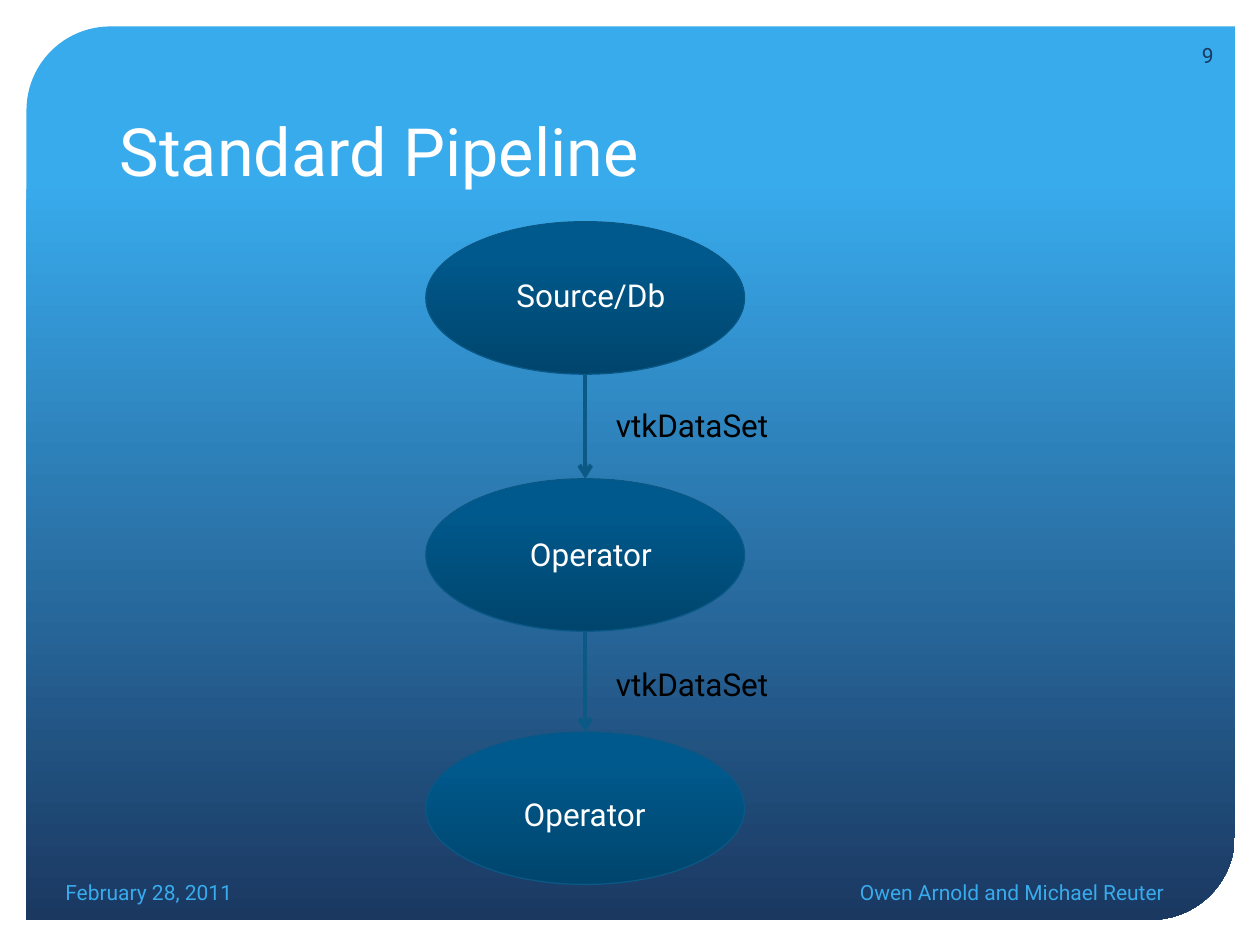
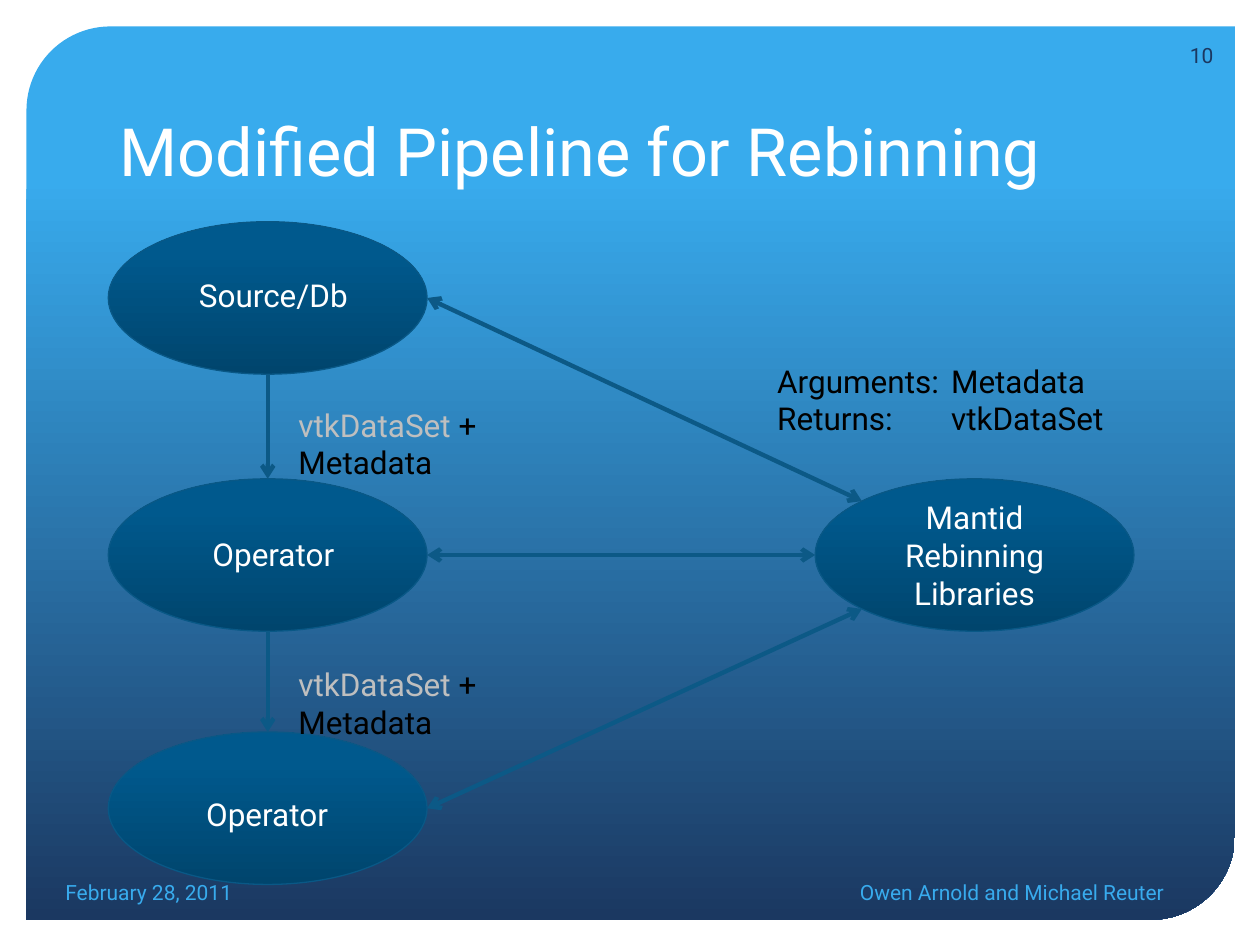
from dataclasses import dataclass
from math import cos, radians, sin

from lxml import etree
from pptx import Presentation
from pptx.dml.color import RGBColor
from pptx.enum.shapes import MSO_CONNECTOR, MSO_SHAPE
from pptx.enum.text import MSO_ANCHOR, MSO_AUTO_SIZE, PP_ALIGN
from pptx.oxml.ns import qn
from pptx.util import Inches, Pt

ELLIPSE = MSO_SHAPE.OVAL
PANEL = MSO_SHAPE.ROUND_2_DIAG_RECTANGLE
STRAIGHT = MSO_CONNECTOR.STRAIGHT
LEFT, CENTER, RIGHT = PP_ALIGN.LEFT, PP_ALIGN.CENTER, PP_ALIGN.RIGHT
TOP, MIDDLE, BOTTOM = MSO_ANCHOR.TOP, MSO_ANCHOR.MIDDLE, MSO_ANCHOR.BOTTOM

FONT = "Roboto"
COLORS = {
    "white": "FFFFFF", "black": "000000", "muted": "BFBFBF",
    "sky": "38ABED", "navy": "1B3861",
    "node_dark": "00456D", "node_mid": "00598D", "node_light": "005A8E",
    "node_line": "095886", "arrow": "0C5986",
}
PANEL_STOPS = [(17, "sky"), (100, "navy")]
NODE_STOPS = [(0, "node_dark"), (80, "node_mid"), (100, "node_light")]
NODE_W, NODE_H = 2.53, 1.21

# Connection sites of an ellipse, counted anticlockwise from the top in 45° steps
SITE_TOP, SITE_TOP_LEFT, SITE_LEFT, SITE_BOTTOM_LEFT, SITE_BOTTOM = range(5)
SITE_RIGHT = 6


@dataclass(frozen=True)
class Stage:
    """A pipeline step; the caption position is relative to the ellipse."""
    caption: str
    top: float
    caption_dx: float
    caption_dy: float


@dataclass(frozen=True)
class Footer:
    text: str
    box: tuple
    align: PP_ALIGN
    color: str = "sky"


STAGES = [
    Stage("Source/Db", 1.76, 0.6, 0.38),
    Stage("Operator", 3.8, 0.6, 0.4),
    Stage("Operator", 5.81, 0.55, 0.45),
]
FLOW_LABEL_TOPS = (3.17, 5.23)


def rgb(name: str) -> RGBColor:
    return RGBColor.from_string(COLORS[name])


def write(frame, *lines, size=18, color="white", align=LEFT, anchor=TOP, tab=None):
    """Fill a text frame; a line is a string or a list of (text, colour) runs."""
    frame.word_wrap = True
    frame.auto_size = MSO_AUTO_SIZE.NONE
    frame.vertical_anchor = anchor
    for index, line in enumerate(lines):
        paragraph = frame.add_paragraph() if index else frame.paragraphs[0]
        paragraph.alignment = align
        if tab:
            tabs = etree.SubElement(paragraph._p.get_or_add_pPr(), qn("a:tabLst"))
            etree.SubElement(tabs, qn("a:tab"), pos=str(Inches(tab)), algn="l")
        runs = [(line, color)] if isinstance(line, str) else line
        for text, run_color in runs:
            run = paragraph.add_run()
            run.text = text
            run.font.name = FONT
            run.font.size = Pt(size)
            run.font.color.rgb = rgb(run_color)


def add_text(slide, box: tuple, *lines, **text_format):
    frame = slide.shapes.add_textbox(*map(Inches, box)).text_frame
    write(frame, *lines, **text_format)


def fill_gradient(shape, stops: list, angle: int):
    shape.shadow.inherit = False
    shape.fill.gradient()
    shape.fill.gradient_angle = 360 - angle
    stop_list = shape.element.spPr.find(".//" + qn("a:gsLst"))
    for stop in list(stop_list):
        stop_list.remove(stop)
    for position, color in stops:
        stop = etree.SubElement(stop_list, qn("a:gs"), pos=str(position * 1000))
        etree.SubElement(stop, qn("a:srgbClr"), val=COLORS[color])


def add_node(slide, left: float, top: float):
    node = slide.shapes.add_shape(ELLIPSE, *map(Inches, (left, top, NODE_W, NODE_H)))
    fill_gradient(node, NODE_STOPS, 270)
    node.line.color.rgb = rgb("node_line")
    node.line.width = Pt(0.75)
    return node


def site_point(node, site: int) -> tuple:
    angle = radians(90 + 45 * site)
    return (round(node.left + node.width / 2 * (1 + cos(angle))),
            round(node.top + node.height / 2 * (1 - sin(angle))))


def join(slide, start, start_site: int, end, end_site: int, both_ways: bool = False):
    """Draw an arrow glued to the connection sites of two ellipses."""
    arrow = slide.shapes.add_connector(
        STRAIGHT, *site_point(start, start_site), *site_point(end, end_site))
    arrow.line.color.rgb = rgb("arrow")
    arrow.line.width = Pt(2.5)
    outline = arrow.line._get_or_add_ln()
    for tip in ("a:headEnd", "a:tailEnd") if both_ways else ("a:tailEnd",):
        etree.SubElement(outline, qn(tip), type="arrow")
    etree.SubElement(arrow.element.spPr, qn("a:effectLst"))
    glue = arrow.element.find(".//" + qn("p:cNvCxnSpPr"))
    for tag, node, site in (("a:stCxn", start, start_site), ("a:endCxn", end, end_site)):
        etree.SubElement(glue, qn(tag), id=str(node.shape_id), idx=str(site))


def add_panel(slide, layout):
    """Draw the backdrop and hand it to the layout that all slides share."""
    panel = slide.shapes.add_shape(PANEL, *map(Inches, (0.21, 0.21, 9.59, 7.09)))
    panel.adjustments[0], panel.adjustments[1] = 0.094, 0
    fill_gradient(panel, PANEL_STOPS, 90)
    panel.line.fill.background()
    layout.shapes.element.insert(2, panel.element)


def start_slide(prs, layout, title: str, number: int):
    slide = prs.slides.add_slide(layout)
    heading = slide.shapes.title
    heading.left, heading.top, heading.width, heading.height = map(
        Inches, (0.85, 0.42, 8.29, 1.14))
    write(heading.text_frame, title, size=38, anchor=BOTTOM)
    footers = [
        Footer("February 28, 2011", (0.42, 6.88, 2.06, 0.4), LEFT),
        Footer("Owen Arnold and Michael Reuter", (3.61, 6.88, 5.73, 0.4), RIGHT),
        Footer(str(number), (9.19, 0.24, 0.54, 0.4), RIGHT, "navy"),
    ]
    for footer in footers:
        add_text(slide, footer.box, footer.text, size=12, color=footer.color,
                 align=footer.align, anchor=MIDDLE)
    return slide


def add_pipeline(slide, left: float, flow_label, label_height: float) -> list:
    """Stack the stages, join them downwards and label each flow."""
    nodes = []
    for stage in STAGES:
        nodes.append(add_node(slide, left, stage.top))
        add_text(slide, (left + stage.caption_dx, stage.top + stage.caption_dy, 1.42, 0.4),
                 stage.caption, align=CENTER)
    for upper, lower, top in zip(nodes, nodes[1:], FLOW_LABEL_TOPS):
        join(slide, upper, SITE_BOTTOM, lower, SITE_TOP)
        add_text(slide, (left + 1.41, top, 1.66, label_height), flow_label, color="black")
    return nodes


def main():
    prs = Presentation()
    prs.slide_width, prs.slide_height = Inches(10), Inches(7.5)
    title_only = prs.slide_layouts[5]

    # Standard pipeline
    standard = start_slide(prs, title_only, "Standard Pipeline", 9)
    add_panel(standard, title_only)
    add_pipeline(standard, 3.38, "vtkDataSet", 0.4)

    # Modified pipeline: every stage talks to the rebinning libraries
    modified = start_slide(prs, title_only, "Modified Pipeline for Rebinning", 10)
    flow = [("vtkDataSet", "muted"), (" + Metadata", "black")]
    source, first_operator, last_operator = add_pipeline(modified, 0.86, flow, 0.71)
    libraries = add_node(modified, 6.47, 3.8)
    write(libraries.text_frame, "Mantid Rebinning Libraries", align=CENTER, anchor=MIDDLE)
    for stage, site in ((source, SITE_TOP_LEFT), (first_operator, SITE_LEFT),
                        (last_operator, SITE_BOTTOM_LEFT)):
        join(modified, libraries, site, stage, SITE_RIGHT, both_ways=True)
    add_text(modified, (6.07, 2.82, 3.93, 1.01), "Arguments:\tMetadata",
             "Returns:\tvtkDataSet", color="black", tab=1.38)

    prs.save("out.pptx")


if __name__ == "__main__":
    main()
